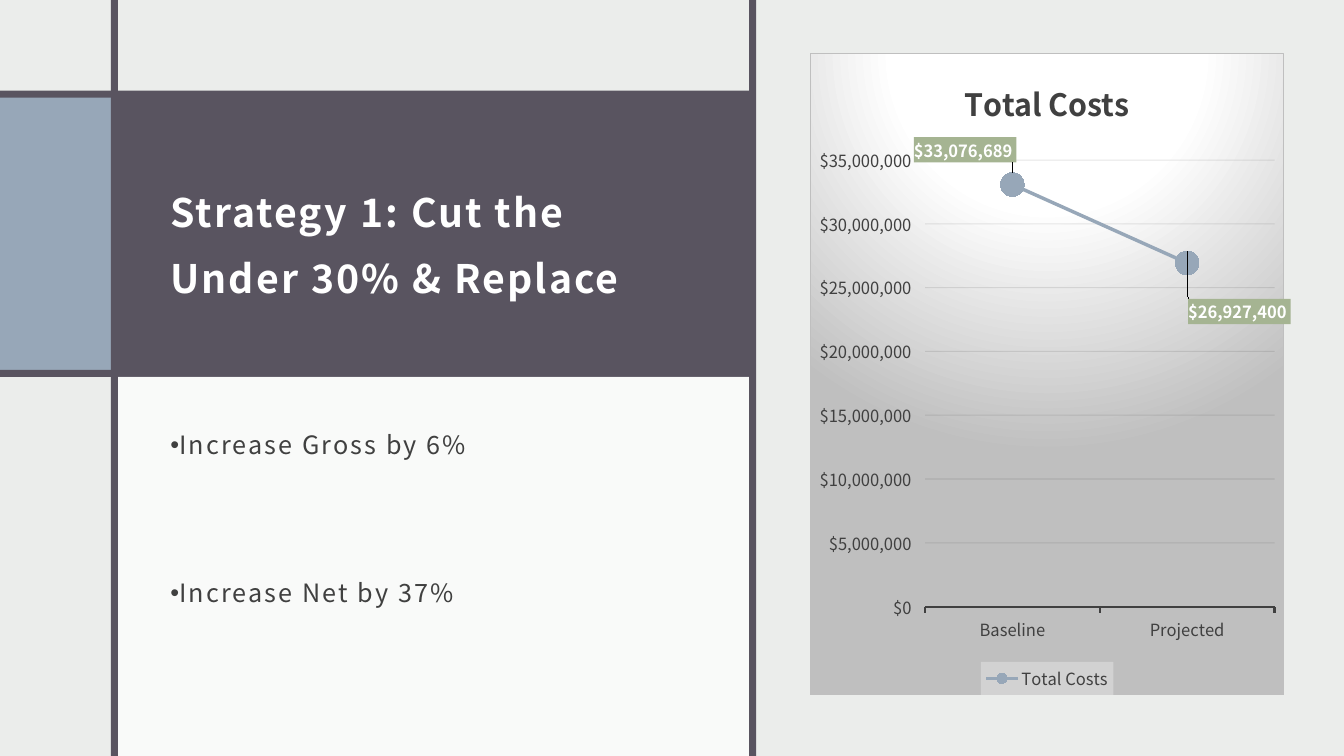
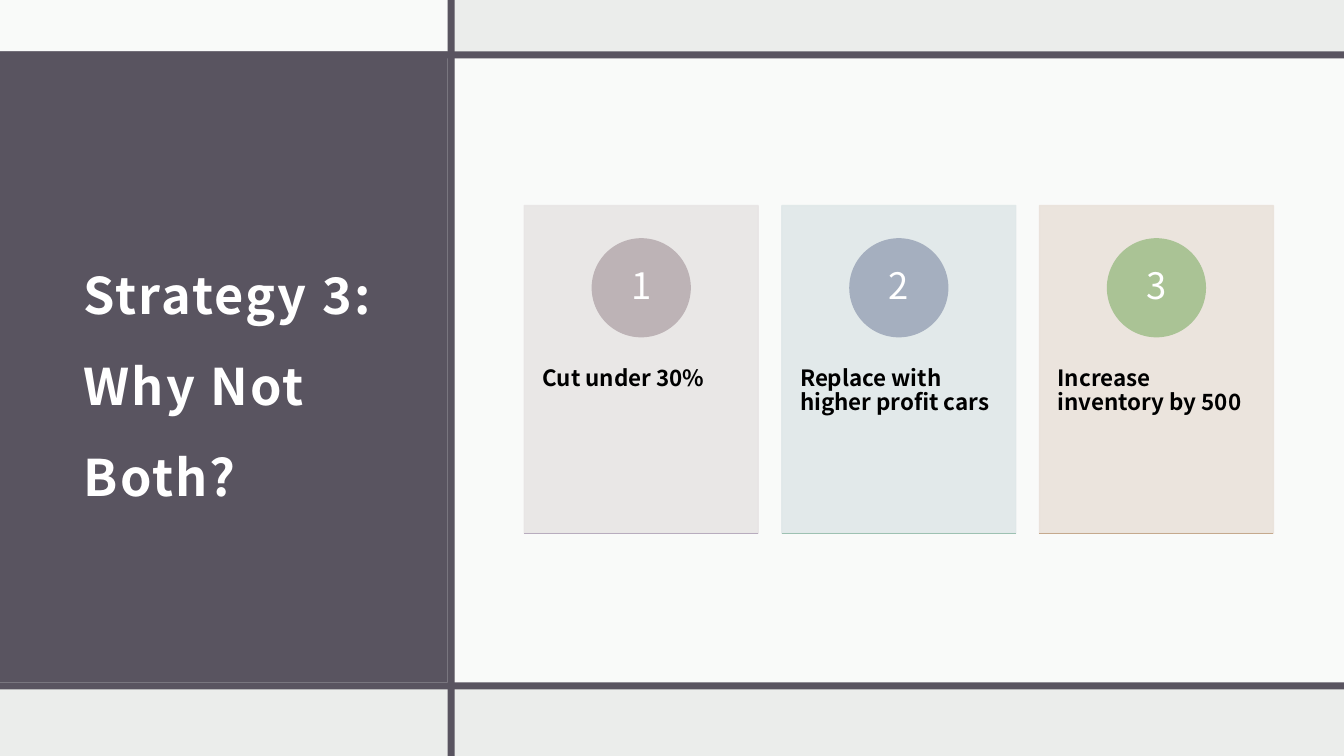
from lxml.etree import SubElement
from pptx import Presentation
from pptx.chart.data import CategoryChartData
from pptx.dml.color import RGBColor
from pptx.enum.chart import XL_CHART_TYPE, XL_LABEL_POSITION, XL_LEGEND_POSITION, XL_MARKER_STYLE, XL_TICK_MARK
from pptx.enum.shapes import MSO_CONNECTOR, MSO_SHAPE
from pptx.enum.text import MSO_ANCHOR, MSO_AUTO_SIZE, PP_ALIGN
from pptx.oxml import parse_xml
from pptx.oxml.ns import nsdecls, qn
from pptx.util import Inches, Pt

FONT = "Noto Sans CJK JP"
PAPER = RGBColor(0xEB, 0xED, 0xEB)
PLUM = RGBColor(0x59, 0x54, 0x60)
STEEL = RGBColor(0x97, 0xA7, 0xB8)
WHITE = RGBColor(0xFF, 0xFF, 0xFF)
BLACK = RGBColor(0x00, 0x00, 0x00)
INK = RGBColor(0x40, 0x40, 0x40)
GRID = RGBColor(0x0D, 0x0D, 0x0D)
SILVER = RGBColor(0xBF, 0xBF, 0xBF)
SAGE = RGBColor(0xA5, 0xB4, 0x92)
MIST = RGBColor(0xF2, 0xF2, 0xF2)
BAR = 0.07
WIDTH, HEIGHT = 13.33, 7.5
DOLLARS = '"$"#,##0_);[Red]\\("$"#,##0\\)'
INSETS = {"margin_left": Inches(0.12), "margin_right": Inches(0.12),
          "margin_top": Inches(0.12), "margin_bottom": Inches(0.1),
          "word_wrap": True, "auto_size": MSO_AUTO_SIZE.NONE}


def style(target, formats, color=None):
    for name, value in formats.items():
        setattr(target, name, value)
    if color is not None:
        target.color.rgb = color


def block(slide, kind, box, color, opacity=100, outlined=False):
    shape = slide.shapes.add_shape(kind, *map(Inches, box))
    shape.shadow.inherit = False
    shape.fill.solid()
    shape.fill.fore_color.rgb = color
    if outlined:
        style(shape.line, {"width": Pt(1)}, color)
    else:
        shape.line.fill.background()
    if opacity < 100:
        for tint in shape.element.iter(qn("a:srgbClr")):
            SubElement(tint, qn("a:alpha"), val=str(opacity * 1000))
    return shape


prs = Presentation()
prs.slide_width, prs.slide_height = Inches(WIDTH), Inches(HEIGHT)
paper = prs.slide_master.background.fill
paper.solid()
paper.fore_color.rgb = PAPER

pages = [
    {"layout": 1, "title": "Strategy 1: Cut the Under 30% & Replace",
     "box": (1.57, 1.22, 5.32, 2.21), "size": 28, "spacing": 1.4,
     "blocks": [((0, 0.9, 7.43, 2.84), PLUM, 100),
                ((0, 0.97, 1.17, 2.7), STEEL, 100),
                ((0, 3.67, 7.43, BAR), PLUM, 100),
                ((1.14, 3.74, 6.33, 3.76), WHITE, 75),
                ((1.1, 0, BAR, HEIGHT), PLUM, 100),
                ((7.43, 0, BAR, HEIGHT), PLUM, 100)]},
    {"layout": 5, "title": "Strategy 3: Why Not Both?",
     "box": (0.71, 1.31, 3.41, 4.71), "size": 36, "spacing": 1.5,
     "blocks": [((0, 0.51, 4.44, 6.26), PLUM, 100),
                ((0, 0, 4.44, 0.51), WHITE, 75),
                ((4.51, 0.58, 8.82, 6.22), WHITE, 75),
                ((0, 6.77, WIDTH, BAR), PLUM, 100),
                ((4.44, 0, BAR, HEIGHT), PLUM, 100),
                ((0, 0.51, WIDTH, BAR), PLUM, 100)]},
]
slides = []
for page in pages:
    slide = prs.slides.add_slide(prs.slide_layouts[page["layout"]])
    for box, color, opacity in page["blocks"]:
        block(slide, MSO_SHAPE.RECTANGLE, box, color, opacity)
    title = slide.shapes.title
    title.left, title.top, title.width, title.height = map(Inches, page["box"])
    title.element.getparent().append(title.element)
    style(title.text_frame, {**INSETS, "vertical_anchor": MSO_ANCHOR.MIDDLE})
    heading = title.text_frame.paragraphs[0]
    style(heading, {"alignment": PP_ALIGN.LEFT, "line_spacing": page["spacing"]})
    words = heading.add_run()
    words.text = page["title"]
    style(words.font, {"name": FONT, "size": Pt(page["size"]), "bold": True}, WHITE)
    words.font.element.set("spc", "150") if hasattr(words.font, "element") else heading.runs[0]._r.get_or_add_rPr().set("spc", "150")
    slides.append(slide)
cut_slide, both_slide = slides

goals = cut_slide.placeholders[1]
goals.left, goals.top, goals.width, goals.height = map(Inches, (1.57, 4.05, 5.6, 2.74))
goals.element.getparent().append(goals.element)
style(goals.text_frame, INSETS)
goals.text_frame.text = "Increase Gross by 6%\nIncrease Net by 37%"
for goal, gap in zip(goals.text_frame.paragraphs, (9.3, 77.5)):
    style(goal, {"line_spacing": 1.3, "space_before": Pt(gap)})
    style(goal.runs[0].font, {"name": FONT, "size": Pt(18)}, INK)
for run_format in goals.element.iter(qn("a:rPr")):
    run_format.set("spc", "150")
for goal_format in goals.element.iter(qn("a:pPr")):
    goal_format.set("marL", "0")
    goal_format.set("indent", str(-Inches(0.31)))
    SubElement(goal_format, qn("a:buChar"), char="•")

costs = CategoryChartData(number_format=DOLLARS)
costs.categories = ["Baseline", "Projected"]
costs.add_series("Total Costs", (33076689, 26927400))
chart = cut_slide.shapes.add_chart(
    XL_CHART_TYPE.LINE_MARKERS, *map(Inches, (8.03, 0.53, 4.77, 6.37)), costs).chart
style(chart.font, {"name": FONT, "size": Pt(10)})
chart.element.find(qn("c:chart")).addnext(parse_xml(
    f'<c:spPr {nsdecls("c", "a")}><a:gradFill><a:gsLst>'
    f'<a:gs pos="0"><a:srgbClr val="{WHITE}"/></a:gs>'
    f'<a:gs pos="39000"><a:srgbClr val="{WHITE}"/></a:gs>'
    f'<a:gs pos="100000"><a:srgbClr val="{SILVER}"/></a:gs></a:gsLst>'
    '<a:path path="circle"><a:fillToRect l="50000" t="-80000" r="50000" b="180000"/></a:path>'
    f'</a:gradFill><a:ln w="9525"><a:solidFill><a:srgbClr val="{SILVER}"/></a:solidFill></a:ln></c:spPr>'))

chart.has_title = True
caption = chart.chart_title.text_frame
caption.text = "Total Costs"
style(caption.paragraphs[0].runs[0].font, {"name": FONT, "size": Pt(22), "bold": True}, INK)
chart.has_legend = True
style(chart.legend, {"position": XL_LEGEND_POSITION.BOTTOM, "include_in_layout": False})
style(chart.value_axis, {"minimum_scale": 0, "maximum_scale": 35000000, "major_unit": 5000000,
                         "major_tick_mark": XL_TICK_MARK.OUTSIDE})
style(chart.value_axis.tick_labels, {"number_format": DOLLARS, "number_format_is_linked": False})
for labelled in (chart.legend, chart.value_axis.tick_labels, chart.category_axis.tick_labels):
    style(labelled.font, {"name": FONT, "size": Pt(12)}, INK)
chart.element.find(".//" + qn("c:legend")).find(qn("c:txPr")).addprevious(parse_xml(
    f'<c:spPr {nsdecls("c", "a")}><a:solidFill><a:srgbClr val="{MIST}">'
    '<a:alpha val="39000"/></a:srgbClr></a:solidFill></c:spPr>'))
chart.value_axis.format.line.fill.background()
style(chart.category_axis.format.line, {"width": Pt(1.5)}, INK)
style(chart.value_axis.major_gridlines.format.line, {"width": Pt(0.75)}, GRID)
for tint in chart.element.find(".//" + qn("c:majorGridlines")).iter(qn("a:srgbClr")):
    SubElement(tint, qn("a:alpha"), val="10000")

trend = chart.plots[0].series[0]
trend.smooth = False
style(trend.format.line, {"width": Pt(2.5)}, STEEL)
style(trend.marker, {"style": XL_MARKER_STYLE.CIRCLE, "size": 17})
trend.marker.format.fill.solid()
trend.marker.format.fill.fore_color.rgb = STEEL
trend.marker.format.line.color.rgb = STEEL
for index in range(2):
    amount = trend.points[index].data_label
    style(amount.font, {"name": FONT, "size": Pt(12), "bold": True}, WHITE)
    amount.position = XL_LABEL_POSITION.ABOVE
amount_format = DOLLARS.replace('"', "&quot;")
for label, (shift_x, shift_y) in zip(chart.element.iter(qn("c:dLbl")), ((-0.1, -0.01), (0.11, 0.12))):
    for old in label.findall(qn("c:spPr")):
        label.remove(old)
    extras = parse_xml(
        f'<c:dLbl {nsdecls("c", "a")}><c:layout><c:manualLayout>'
        f'<c:x val="{shift_x}"/><c:y val="{shift_y}"/></c:manualLayout></c:layout>'
        f'<c:numFmt formatCode="{amount_format}" sourceLinked="0"/>'
        f'<c:spPr><a:solidFill><a:srgbClr val="{SAGE}"/></a:solidFill></c:spPr></c:dLbl>')
    for extra in reversed(list(extras)):
        label.find(qn("c:idx")).addnext(extra)

steps = [
    ("Cut under 30%", RGBColor(0xE8, 0xE5, 0xE5), RGBColor(0xBD, 0xB3, 0xB6), RGBColor(0xB8, 0xAC, 0xBE)),
    ("Replace with higher profit cars", RGBColor(0xE0, 0xE8, 0xE9), RGBColor(0xA5, 0xAF, 0xBF),
     RGBColor(0x9D, 0xC1, 0xB2)),
    ("Increase inventory by 500", RGBColor(0xEA, 0xE2, 0xDB), RGBColor(0xAA, 0xC3, 0x95),
     RGBColor(0xC5, 0xA9, 0x8D)),
]
CARD_W, CARD_H, CARD_TOP, CARD_STEP, BADGE = 2.32, 3.25, 2.04, 2.555, 0.97
for index, (step, card_color, badge_color, rule_color) in enumerate(steps):
    left = 5.2 + index * CARD_STEP
    bottom = CARD_TOP + CARD_H
    card = block(both_slide, MSO_SHAPE.RECTANGLE, (left, CARD_TOP, CARD_W, CARD_H), card_color, 90, True)
    badge = block(both_slide, MSO_SHAPE.OVAL,
                  (left + (CARD_W - BADGE) / 2, 2.37, BADGE, BADGE), badge_color, 100, True)
    for holder, text, size, bold, color, align, anchor, side, top in (
            (card, step, 16, True, BLACK, PP_ALIGN.LEFT, MSO_ANCHOR.TOP, 0.18, 1.6),
            (badge, str(index + 1), 26, False, WHITE, PP_ALIGN.CENTER, MSO_ANCHOR.MIDDLE, 0.08, 0.01)):
        style(holder.text_frame, {"text": text, "word_wrap": True, "vertical_anchor": anchor,
                                  "margin_left": Inches(side), "margin_right": Inches(side),
                                  "margin_top": Inches(top), "margin_bottom": Inches(0.01)})
        line = holder.text_frame.paragraphs[0]
        style(line, {"alignment": align, "line_spacing": 0.9})
        style(line.runs[0].font, {"name": FONT, "size": Pt(size), "bold": bold}, color)
    rule = both_slide.shapes.add_connector(
        MSO_CONNECTOR.STRAIGHT, *map(Inches, (left, bottom, left + CARD_W, bottom)))
    style(rule.line, {"width": Pt(1)}, rule_color)
    SubElement(rule.element.spPr, qn("a:effectLst"))

prs.save("out.pptx")
